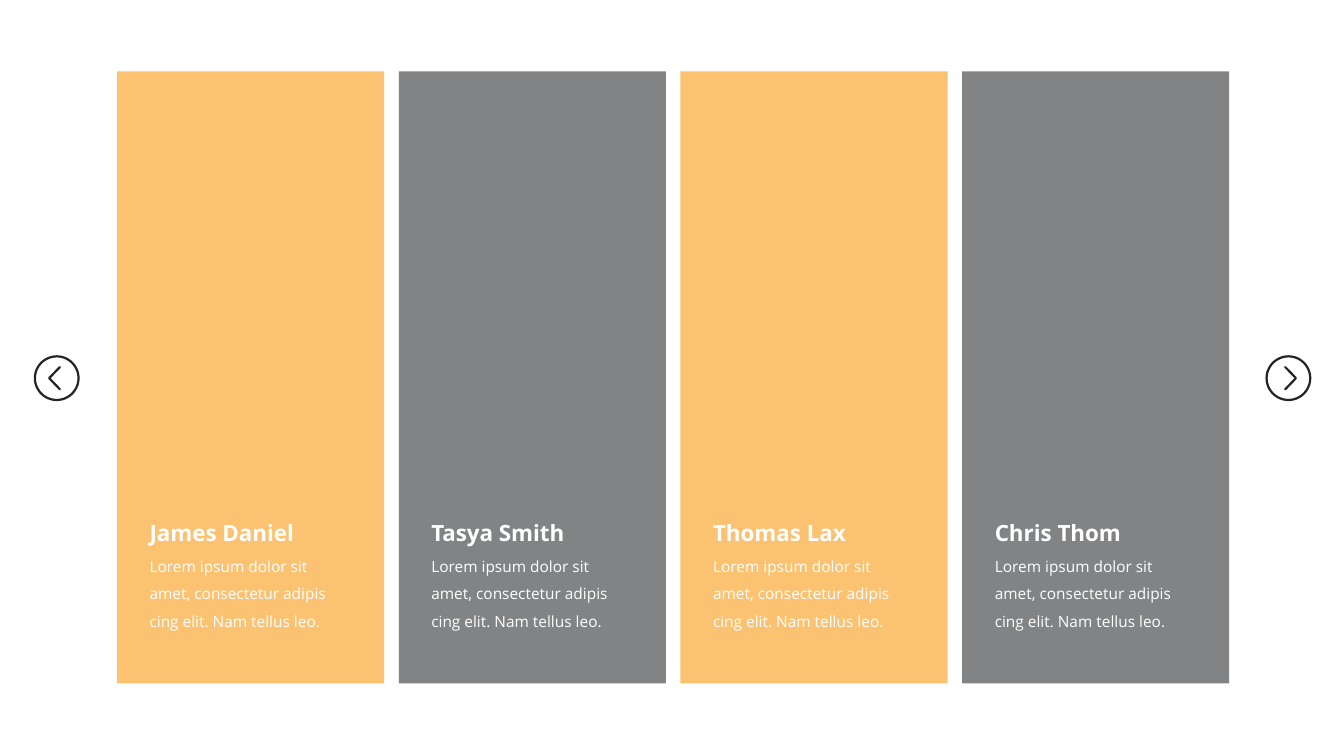
from lxml.etree import SubElement
from pptx import Presentation
from pptx.dml.color import RGBColor
from pptx.enum.shapes import MSO_SHAPE
from pptx.enum.text import MSO_AUTO_SIZE
from pptx.oxml.ns import qn
from pptx.util import Cm, Pt

ORANGE = "F89406"
DARK = "242527"
WHITE = "FFFFFF"
FONT = "Open Sans"
BIO = "Lorem ipsum dolor sit amet, consectetur adipis cing elit. Nam tellus leo."
MEMBERS = [
    ("James Daniel", ORANGE),
    ("Tasya Smith", DARK),
    ("Thomas Lax", ORANGE),
    ("Chris Thom", DARK),
]
FIRST_CARD_LEFT = 2.95
CARD_PITCH = 7.1
TEXT_INDENT = 0.57
ARROW_MIDDLE = 9.53
RING_SIZE = 1.1


def paint(color_format, hex_color):
    color_format.rgb = RGBColor.from_string(hex_color)


def add_card(shapes, left, color):
    card = shapes.add_shape(
        MSO_SHAPE.RECTANGLE, Cm(left), Cm(1.8), Cm(6.73), Cm(15.42))
    card.shadow.inherit = False
    card.line.fill.background()
    card.fill.solid()
    paint(card.fill.fore_color, color)
    tint = card._element.spPr.find(qn("a:solidFill"))[0]
    SubElement(tint, qn("a:alpha")).set("val", "57000")


def add_text(shapes, left, top, width, height, text, size, bold=False):
    box = shapes.add_textbox(Cm(left), Cm(top), Cm(width), Cm(height))
    frame = box.text_frame
    frame.word_wrap = True
    frame.auto_size = MSO_AUTO_SIZE.SHAPE_TO_FIT_TEXT
    paragraph = frame.paragraphs[0]
    paragraph.line_spacing = 1.5
    run = paragraph.add_run()
    run.text = text
    run.font.name = FONT
    run.font.size = Pt(size)
    run.font.bold = bold
    paint(run.font.color, WHITE)


def add_profile(shapes, left, name):
    profile = shapes.add_group_shape().shapes
    add_text(profile, left, 12.62, 5.36, 1.17, name, 16, bold=True)
    add_text(profile, left, 13.67, 5.59, 2.36, BIO, 11)


def outline(shape):
    shape.shadow.inherit = False
    shape.fill.background()
    shape.line.width = Pt(1.6)
    paint(shape.line.color, DARK)
    shape._element.spPr.find(qn("a:ln")).set("cap", "rnd")


def add_arrow_button(shapes, center, direction):
    ring = shapes.add_shape(
        MSO_SHAPE.OVAL, Cm(center - RING_SIZE / 2),
        Cm(ARROW_MIDDLE - RING_SIZE / 2), Cm(RING_SIZE), Cm(RING_SIZE))
    outline(ring)
    tail = Cm(center - direction * 0.08)
    tip = Cm(center + direction * 0.19)
    builder = shapes.build_freeform(tail, Cm(ARROW_MIDDLE - 0.28))
    builder.add_line_segments(
        [(tip, Cm(ARROW_MIDDLE)), (tail, Cm(ARROW_MIDDLE + 0.28))], close=False)
    outline(builder.convert_to_shape())


def main():
    presentation = Presentation()
    presentation.slide_width = Cm(33.87)
    presentation.slide_height = Cm(19.05)
    slide = presentation.slides.add_slide(presentation.slide_layouts[6])
    shapes = slide.shapes
    for index, (name, color) in enumerate(MEMBERS):
        left = FIRST_CARD_LEFT + index * CARD_PITCH
        add_card(shapes, left, color)
        add_profile(shapes, left + TEXT_INDENT, name)
    add_arrow_button(shapes, 1.43, -1)
    add_arrow_button(shapes, 32.47, 1)
    presentation.save("out.pptx")


if __name__ == "__main__":
    main()
